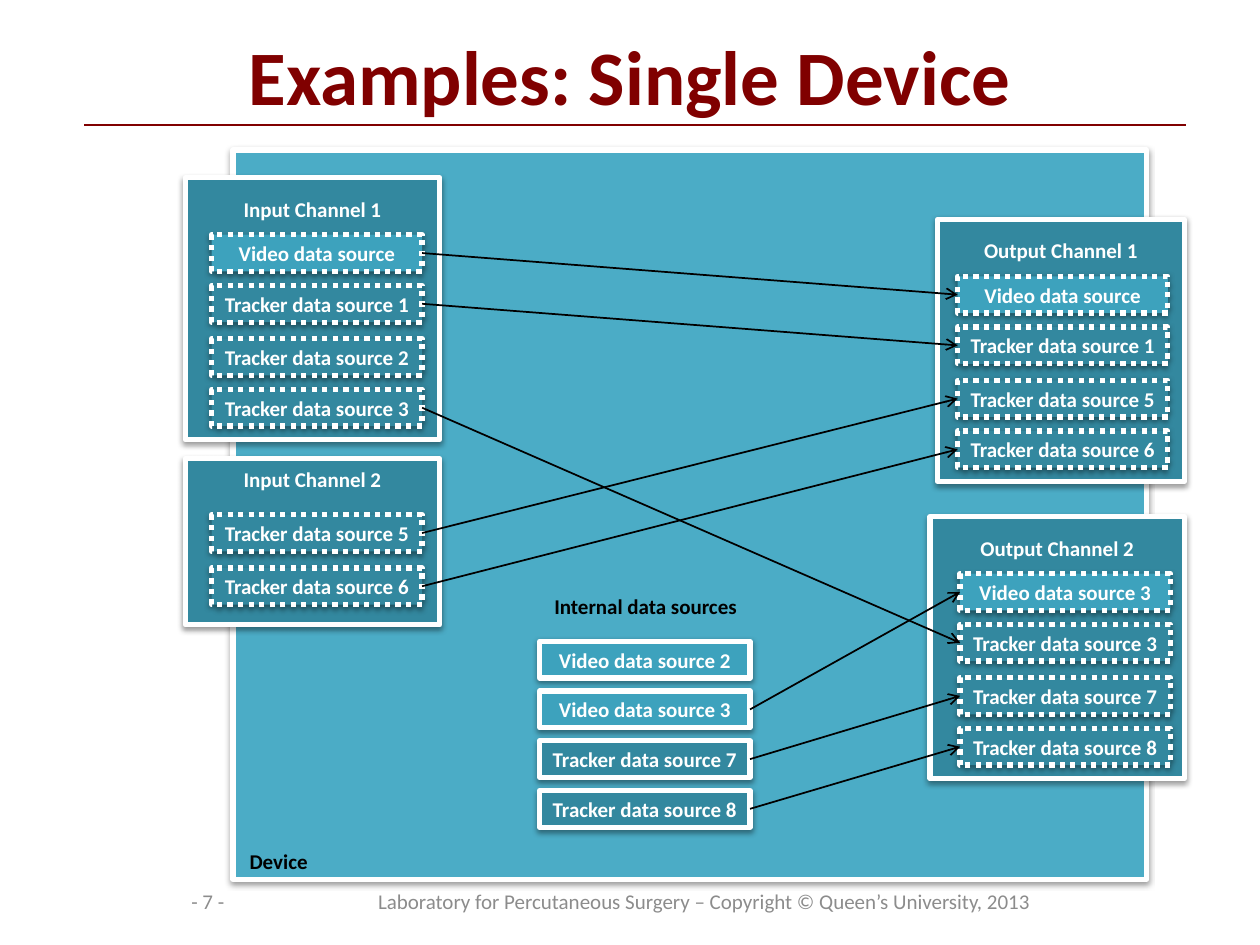
from dataclasses import dataclass

from lxml import etree
from pptx import Presentation
from pptx.dml.color import RGBColor
from pptx.enum.dml import MSO_LINE
from pptx.enum.shapes import MSO_CONNECTOR, MSO_SHAPE
from pptx.enum.text import MSO_ANCHOR, MSO_AUTO_SIZE, PP_ALIGN
from pptx.oxml.ns import qn
from pptx.util import Pt

FONT = "Calibri"
WHITE, BLACK, GREY, MAROON = "FFFFFF", "000000", "8C8C8C", "800000"
DEVICE, PANEL, VIDEO = "4BACC6", "33889F", "3DA2BD"
SOURCE_W, SOURCE_H = 120.2, 21
LEFT_SITE, RIGHT_SITE = 1, 3


@dataclass
class Channel:
    key: str
    title: str
    left: float
    top: float
    width: float
    height: float
    title_inset: float
    source_left: float
    offsets: tuple[float, ...]
    sources: tuple[str, ...]


@dataclass
class Link:
    start: tuple[str, str]
    end: tuple[str, str]


def color(value: str) -> RGBColor:
    return RGBColor.from_string(value)


def write(shape, text: str, size: float = 12, ink: str = WHITE, bold: bool = True,
          align=PP_ALIGN.CENTER, anchor=MSO_ANCHOR.MIDDLE, inset_top: float = 0) -> None:
    frame = shape.text_frame
    frame.word_wrap = True
    frame.auto_size = MSO_AUTO_SIZE.NONE
    frame.margin_left = frame.margin_right = frame.margin_bottom = 0
    frame.margin_top = Pt(inset_top)
    frame.vertical_anchor = anchor
    paragraph = frame.paragraphs[0]
    paragraph.alignment = align
    run = paragraph.add_run()
    run.text = text
    font = run.font
    font.name, font.size, font.bold = FONT, Pt(size), bold
    font.color.rgb = color(ink)


def add_label(left: float, top: float, width: float, height: float, text: str, **style) -> None:
    write(slide.shapes.add_textbox(Pt(left), Pt(top), Pt(width), Pt(height)), text, **style)


def add_box(left: float, top: float, width: float, height: float, fill: str, dotted: bool = False):
    box = slide.shapes.add_shape(MSO_SHAPE.RECTANGLE, Pt(left), Pt(top), Pt(width), Pt(height))
    box.fill.solid()
    box.fill.fore_color.rgb = color(fill)
    box.line.color.rgb = color(WHITE)
    box.line.width = Pt(3)
    if dotted:
        box.line.dash_style = MSO_LINE.ROUND_DOT
    # Soft shadow straight below
    box.shadow.inherit = False
    effects = box._element.spPr.find(qn("a:effectLst"))
    shadow = etree.SubElement(effects, qn("a:outerShdw"), blurRad="40000", dist="20000",
                              dir="5400000", rotWithShape="0")
    black = etree.SubElement(shadow, qn("a:srgbClr"), val=BLACK)
    etree.SubElement(black, qn("a:alpha"), val="38000")
    return box


def add_source(left: float, top: float, name: str, dotted: bool):
    fill = VIDEO if name.startswith("Video") else PANEL
    box = add_box(left, top, SOURCE_W, SOURCE_H, fill, dotted)
    write(box, name)
    return box


def add_line(x1: float, y1: float, x2: float, y2: float, ink: str, width: float):
    line = slide.shapes.add_connector(MSO_CONNECTOR.STRAIGHT, Pt(x1), Pt(y1), Pt(x2), Pt(y2))
    line.line.color.rgb = color(ink)
    line.line.width = Pt(width)
    etree.SubElement(line._element.spPr, qn("a:effectLst"))
    return line


def add_arrow(start, end) -> None:
    arrow = add_line(0, 0, 0, 0, BLACK, 1)
    arrow.begin_connect(start, RIGHT_SITE)
    arrow.end_connect(end, LEFT_SITE)
    etree.SubElement(arrow.line._get_or_add_ln(), qn("a:tailEnd"), type="arrow")


FOUR_ROWS = (32.6, 61.6, 92, 121)
CHANNELS = [
    Channel("in1", "Input Channel 1", 105.8, 101.5, 145.5, 149.8, 10.6, 121, FOUR_ROWS,
            ("Video data source", "Tracker data source 1",
             "Tracker data source 2", "Tracker data source 3")),
    Channel("out1", "Output Channel 1", 535.7, 125.3, 141.1, 149.8, 10.6, 547.2, FOUR_ROWS,
            ("Video data source", "Tracker data source 1",
             "Tracker data source 5", "Tracker data source 6")),
    Channel("out2", "Output Channel 2", 531.4, 295.2, 145.4, 149.8, 10.6, 548.6, FOUR_ROWS,
            ("Video data source 3", "Tracker data source 3",
             "Tracker data source 7", "Tracker data source 8")),
    Channel("in2", "Input Channel 2", 105.8, 262.1, 145.5, 95, 4.3, 121, (32, 62.4),
            ("Tracker data source 5", "Tracker data source 6")),
]
INTERNAL = ("Video data source 2", "Video data source 3",
            "Tracker data source 7", "Tracker data source 8")
LINKS = [
    Link(("in1", "Video data source"), ("out1", "Video data source")),
    Link(("internal", "Video data source 3"), ("out2", "Video data source 3")),
    Link(("in2", "Tracker data source 5"), ("out1", "Tracker data source 5")),
    Link(("in1", "Tracker data source 1"), ("out1", "Tracker data source 1")),
    Link(("in2", "Tracker data source 6"), ("out1", "Tracker data source 6")),
    Link(("in1", "Tracker data source 3"), ("out2", "Tracker data source 3")),
    Link(("internal", "Tracker data source 7"), ("out2", "Tracker data source 7")),
    Link(("internal", "Tracker data source 8"), ("out2", "Tracker data source 8")),
]

prs = Presentation()
prs.slide_width, prs.slide_height = Pt(720), Pt(540)
slide = prs.slides.add_slide(prs.slide_layouts[5])

# Title and rule
title = slide.shapes.title
title.left, title.top, title.width, title.height = Pt(0), Pt(0), Pt(720), Pt(81.4)
write(title, "Examples: Single Device", size=44, ink=MAROON, inset_top=3.6)
add_line(48.2, 71.5, 677.5, 71.5, MAROON, 0.75)

# Device and footer
add_box(133.2, 85.7, 522, 416.9, DEVICE)
add_label(142.6, 481, 60, 21.6, "Device", ink=BLACK, align=PP_ALIGN.LEFT)
add_label(82, 500.4, 73.5, 28.8, "- 7 -", ink=GREY, bold=False)
add_label(167, 500.4, 471, 28.8, ink=GREY, bold=False,
          text="Laboratory for Percutaneous Surgery – Copyright © Queen’s University, 2013")
add_label(300, 335.5, 121.2, 21.6, "Internal data sources", ink=BLACK, align=PP_ALIGN.RIGHT)

# Channels with their data sources
sources = {}
for channel in CHANNELS:
    panel = add_box(channel.left, channel.top, channel.width, channel.height, PANEL)
    write(panel, channel.title, anchor=MSO_ANCHOR.TOP, inset_top=channel.title_inset)
    for offset, name in zip(channel.offsets, channel.sources):
        sources[channel.key, name] = add_source(
            channel.source_left, channel.top + offset, name, dotted=True)

# Internal data sources
for row, name in enumerate(INTERNAL):
    sources["internal", name] = add_source(308.4, 366.5 + 28.4 * row, name, dotted=False)

# Data flow
for link in LINKS:
    add_arrow(sources[link.start], sources[link.end])

prs.save("out.pptx")
